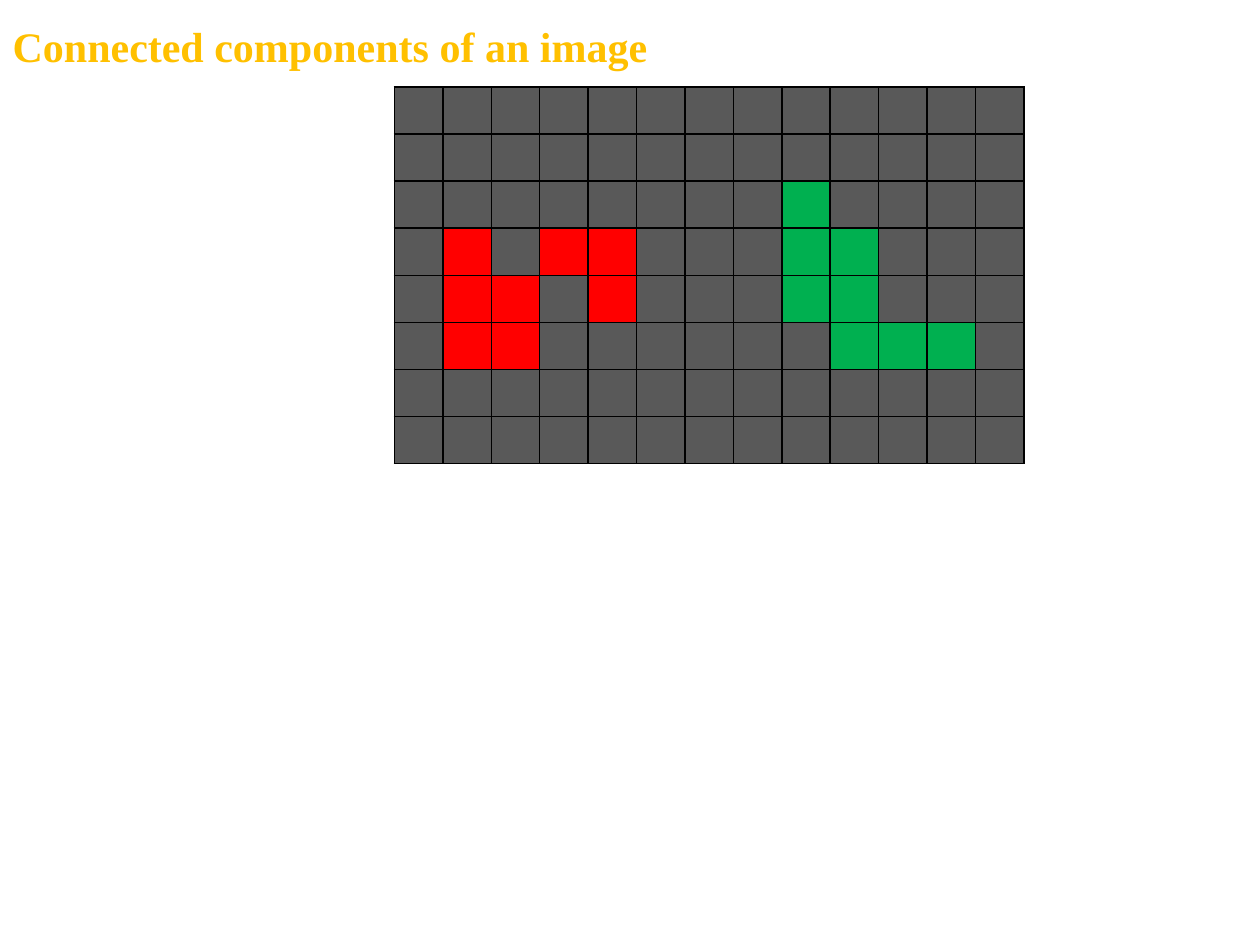
"""Build a slide that shows the connected components of an image."""
import lxml.etree
import pptx
import pptx.dml.color
import pptx.enum.text
import pptx.oxml
import pptx.oxml.ns
import pptx.util

Pt = pptx.util.Pt
RGB = pptx.dml.color.RGBColor
GREY = RGB(0x59, 0x59, 0x59)
RED = RGB(0xFF, 0x00, 0x00)
GREEN = RGB(0x00, 0xB0, 0x50)
GOLD = RGB(0xFF, 0xC0, 0x00)
BLACK = RGB(0x00, 0x00, 0x00)
FILLS = {".": GREY, "R": RED, "G": GREEN}
IMAGE = [
    ".............",
    ".............",
    "........G....",
    ".R.RR...GG...",
    ".RR.R...GG...",
    ".RR......GGG.",
    ".............",
    ".............",
]


def write(shape, text, font="Times New Roman", size=24, color=BLACK, bold=False):
    frame = shape.text_frame
    frame.text = text
    frame.word_wrap = True
    frame.auto_size = pptx.enum.text.MSO_AUTO_SIZE.SHAPE_TO_FIT_TEXT
    frame.vertical_anchor = pptx.enum.text.MSO_ANCHOR.TOP
    para = frame.paragraphs[0]
    para.alignment = pptx.enum.text.PP_ALIGN.LEFT
    style = para.runs[0].font
    style.name, style.size, style.bold = font, Pt(size), bold
    style.color.rgb = color


def place(shape, left, top, width, height):
    shape.left, shape.top = Pt(left), Pt(top)
    shape.width, shape.height = Pt(width), Pt(height)


def border(cell, color, width):
    props = cell._tc.get_or_add_tcPr()
    qn = pptx.oxml.ns.qn
    for side in ("a:lnL", "a:lnR", "a:lnT", "a:lnB"):
        line = lxml.etree.SubElement(props, qn(side), w=str(Pt(width)))
        fill = lxml.etree.SubElement(line, qn("a:solidFill"))
        lxml.etree.SubElement(fill, qn("a:srgbClr"), val=str(color))


def paint(cell, color):
    cell.margin_left = cell.margin_right = 0
    cell.margin_top = cell.margin_bottom = 0
    border(cell, BLACK, 1)
    cell.fill.solid()
    cell.fill.fore_color.rgb = color


def grid(slide, image, left, top, width, height):
    rows, cols = len(image), len(image[0])
    table = slide.shapes.add_table(
        rows, cols, Pt(left), Pt(top), Pt(width), Pt(height)).table
    table.first_row = table.horz_banding = False
    for col in table.columns:
        col.width = Pt(width / cols)
    for row, marks in zip(table.rows, image):
        row.height = Pt(height / rows)
        for cell, mark in zip(row.cells, marks):
            paint(cell, FILLS[mark])


def main():
    deck = pptx.Presentation()
    deck.slide_width, deck.slide_height = Pt(720), Pt(540)
    slide = deck.slides.add_slide(deck.slide_layouts[5])
    grid(slide, IMAGE, 225.4, 49.7, 360, 215.3)
    title = slide.shapes.title
    place(title, 0, 8, 445.7, 36)
    write(title, "Connected components of an image", color=GOLD, bold=True)
    deck.save("out.pptx")


if __name__ == "__main__":
    main()
